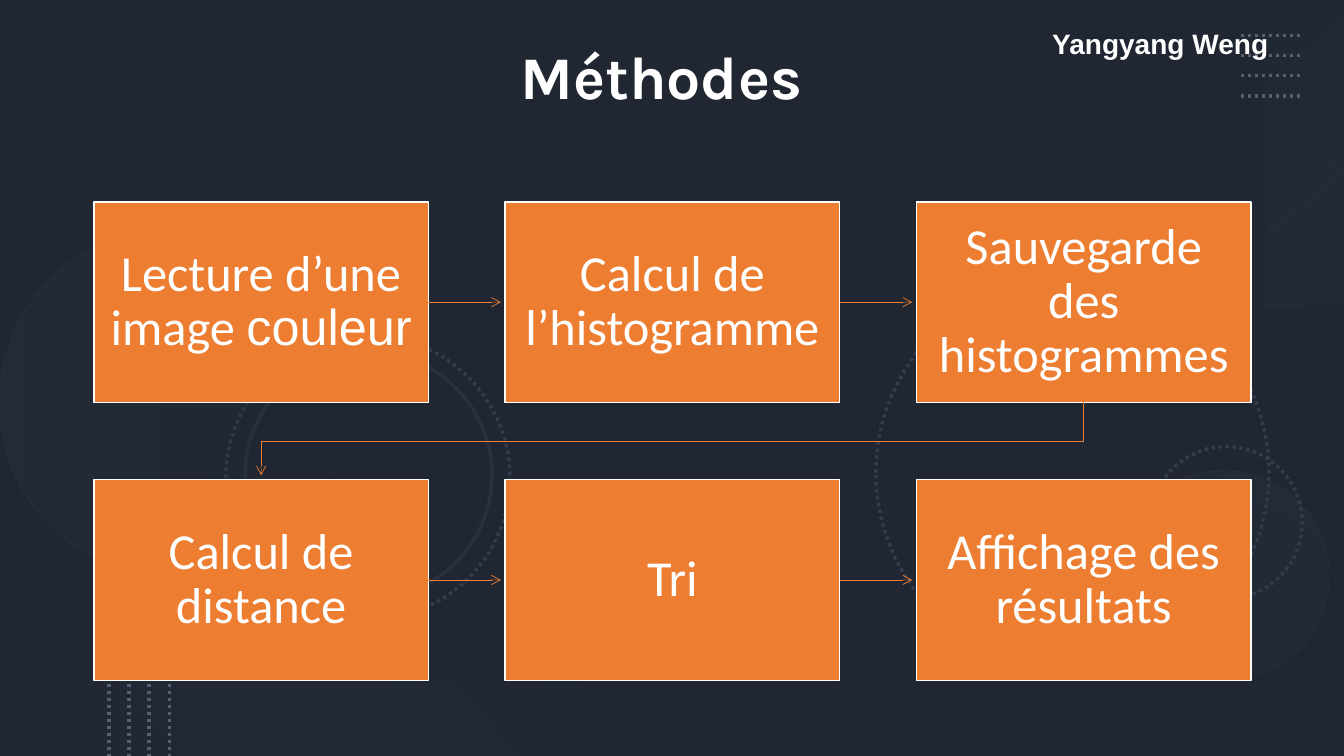
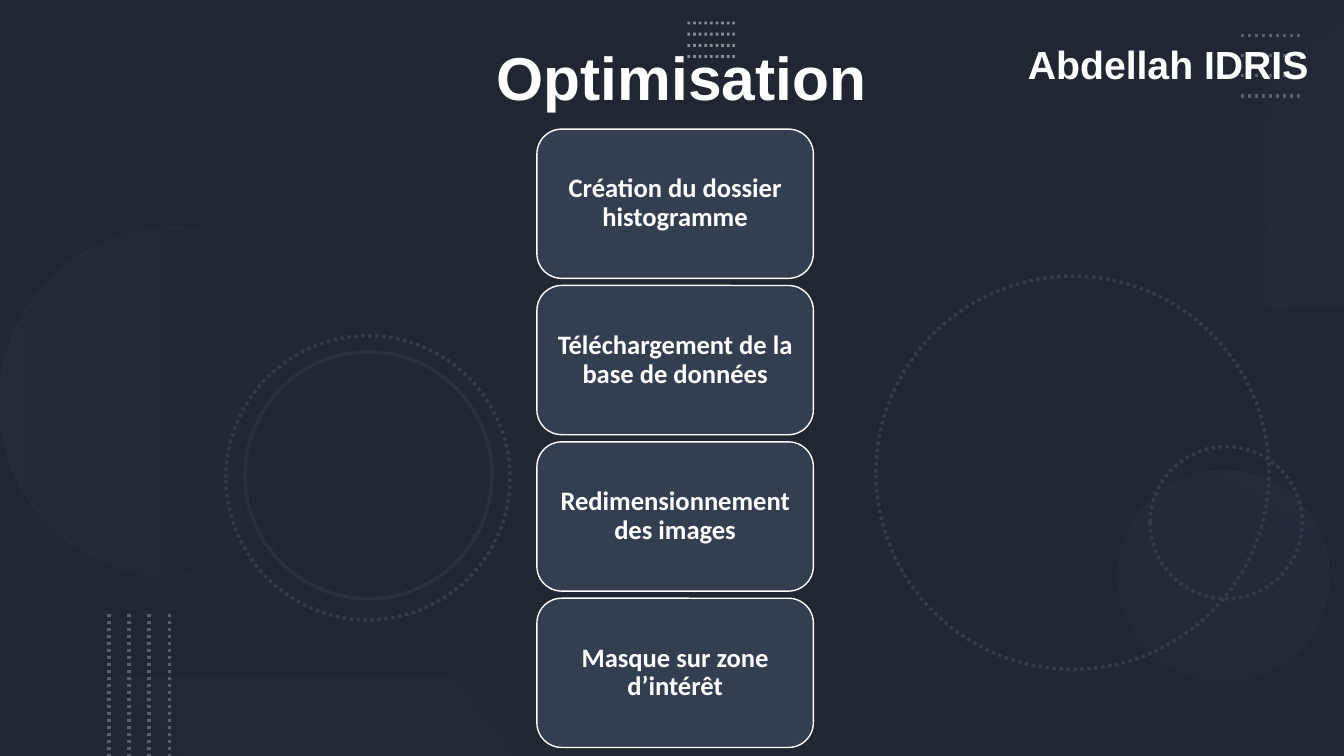
from dataclasses import dataclass

from pptx import Presentation
from pptx.dml.color import RGBColor
from pptx.enum.dml import MSO_LINE
from pptx.enum.shapes import MSO_CONNECTOR, MSO_SHAPE
from pptx.enum.text import MSO_ANCHOR, PP_ALIGN
from pptx.oxml.ns import qn
from pptx.util import Pt
from lxml import etree

RECT, ROUNDED, OVAL = MSO_SHAPE.RECTANGLE, MSO_SHAPE.ROUNDED_RECTANGLE, MSO_SHAPE.OVAL
STRAIGHT = MSO_CONNECTOR.STRAIGHT
DOTTED, SOLID = MSO_LINE.ROUND_DOT, MSO_LINE.SOLID
LEFT, CENTER = PP_ALIGN.LEFT, PP_ALIGN.CENTER
TOP, MIDDLE, BOTTOM = MSO_ANCHOR.TOP, MSO_ANCHOR.MIDDLE, MSO_ANCHOR.BOTTOM
SITE_LEFT, SITE_RIGHT = 1, 3


@dataclass(frozen=True)
class Theme:
    night: str = "202732"
    white: str = "FFFFFF"
    orange: str = "ED7D31"
    slate: str = "333F50"
    deep: str = "222A35"
    ring: str = "333C48"
    inner_ring: str = "2A313D"
    dots: str = "56606C"
    pale_dots: str = "F1F0F0"
    mist: str = "ADB9CA"
    steel: str = "8497B0"
    sans: str = "Arial"
    body: str = "Calibri"
    display: str = "Karla"
    title_size: float = 43.2
    step_size: float = 36
    measure_size: float = 19


THEME = Theme()

# Content: each step is a list of (text, font) runs
METHODS = {
    "title": "Méthodes",
    "author": "Yangyang Weng",
    "steps": [
        [("Lecture d’une image ", THEME.body), ("couleur", THEME.sans)],
        [("Calcul de l’histogramme", THEME.body)],
        [("Sauvegarde des histogrammes", THEME.body)],
        [("Calcul de distance", THEME.body)],
        [("Tri", THEME.body)],
        [("Affichage des résultats", THEME.body)],
    ],
}
OPTIMISATION = {
    "title": "Optimisation",
    "author": "Abdellah IDRIS",
    "measures": [
        "Création du dossier histogramme",
        "Téléchargement de la base de données",
        "Redimensionnement des images",
        "Masque sur zone d’intérêt",
    ],
}

# Backdrop, in points: left, top, diameter, colour, dash
RINGS = [
    (625.7, 197.3, 280.8, THEME.ring, DOTTED),
    (821.5, 319, 108.7, THEME.ring, DOTTED),
    (161.3, 239.8, 203, THEME.ring, DOTTED),
    (175, 251.3, 176.4, THEME.inner_ring, SOLID),
]
# Shape, box, rotation, angle, (colour, opacity %) at both ends
GLOWS = [
    (OVAL, (0, 163.4, 247.7, 247.7), 270, 270, (THEME.slate, 20), (THEME.deep, 10)),
    (OVAL, (799.2, 336.2, 149.8, 149.8), 210, 270, (THEME.slate, 10), (THEME.slate, 20)),
    (RECT, (822.2, 82.1, 220.3, 56.2), 270, 220, (THEME.mist, 0), (THEME.slate, 10)),
    (RECT, (0, 483.8, 480, 56.2), 180, 220, (THEME.deep, 10), (THEME.steel, 0)),
]


def rgb(value):
    return RGBColor.from_string(value)


def set_opacity(shape, *percents):
    colors = shape.element.spPr.iter(qn("a:srgbClr"))
    for color, percent in zip(colors, percents):
        etree.SubElement(color, qn("a:alpha"), val=str(percent * 1000))


def add_arrowhead(shape):
    etree.SubElement(shape.line._get_or_add_ln(), qn("a:tailEnd"), type="arrow")


def style_line(line, color, width, dash=SOLID):
    line.color.rgb = rgb(color)
    line.width = Pt(width)
    line.dash_style = dash


def write(frame, runs, size, align, anchor, bold=False, spacing=None):
    frame.word_wrap = True
    frame.vertical_anchor = anchor
    paragraph = frame.paragraphs[0]
    paragraph.alignment = align
    paragraph.line_spacing = spacing
    for text, font_name in runs:
        run = paragraph.add_run()
        run.text = text
        run.font.name = font_name
        run.font.size = Pt(size)
        run.font.bold = bold
        run.font.color.rgb = rgb(THEME.white)


def add_text(slide, box, text, font_name, size, align=LEFT, anchor=TOP, spacing=None):
    frame = slide.shapes.add_textbox(*map(Pt, box)).text_frame
    write(frame, [(text, font_name)], size, align, anchor, True, spacing)


def add_title(slide, box, text, font_name, align):
    add_text(slide, box, text, font_name, THEME.title_size, align, BOTTOM, 0.9)


def add_card(slide, kind, box, fill, runs, size, margins, bold=False):
    card = slide.shapes.add_shape(kind, *map(Pt, box))
    card.shadow.inherit = False
    card.fill.solid()
    card.fill.fore_color.rgb = rgb(fill)
    style_line(card.line, THEME.white, 1)
    frame = card.text_frame
    frame.margin_left = frame.margin_right = Pt(margins[0])
    frame.margin_top = frame.margin_bottom = Pt(margins[1])
    write(frame, runs, size, CENTER, MIDDLE, bold, 0.9)
    return card


def add_line(slide, start, end, color, width, dash=SOLID):
    line = slide.shapes.add_connector(STRAIGHT, *map(Pt, (*start, *end)))
    style_line(line.line, color, width, dash)
    etree.SubElement(line.element.spPr, qn("a:effectLst"))
    return line


def add_backdrop(slide):
    for left, top, size, color, dash in RINGS:
        ring = slide.shapes.add_shape(OVAL, Pt(left), Pt(top), Pt(size), Pt(size))
        ring.shadow.inherit = False
        ring.fill.background()
        style_line(ring.line, color, 2.5, dash)
    for kind, box, rotation, angle, *ends in GLOWS:
        glow = slide.shapes.add_shape(kind, *map(Pt, box))
        glow.shadow.inherit = False
        glow.rotation = rotation
        glow.line.fill.background()
        glow.fill.gradient()
        glow.fill.gradient_angle = angle
        for stop, (color, _) in zip(glow.fill.gradient_stops, ends):
            stop.color.rgb = rgb(color)
        set_opacity(glow, *(opacity for _, opacity in ends))
    for i in range(4):
        y, x = 25.2 + 14.4 * i, 77.8 + 14.4 * i
        add_line(slide, (886.3, y), (929.5, y), THEME.dots, 2.5, DOTTED)
        add_line(slide, (x, 438.5), (x, 540), THEME.dots, 2.5, DOTTED)


def add_slide(prs):
    slide = prs.slides.add_slide(prs.slide_layouts[6])
    add_backdrop(slide)
    return slide


def build_methods(prs):
    slide = add_slide(prs)
    add_title(slide, (148.3, 31, 648, 53.3), METHODS["title"], THEME.display, CENTER)

    # Steps on a grid of three columns
    columns, left, top, width, height = 3, 67, 144.2, 239, 143.3
    step_x, step_y, tip_gap = 293.8, 198.4, 3
    cards = []
    for i, runs in enumerate(METHODS["steps"]):
        row, column = divmod(i, columns)
        box = (left + column * step_x, top + row * step_y, width, height)
        cards.append(add_card(slide, RECT, box, THEME.orange, runs,
                              THEME.step_size, (11.5, 12.2)))

    # Arrows within each row
    for i, card in enumerate(cards):
        row, column = divmod(i, columns)
        if column == columns - 1:
            continue
        y = top + row * step_y + height / 2
        x = left + column * step_x
        arrow = add_line(slide, (x + width, y), (x + step_x - tip_gap, y), THEME.orange, 0.5)
        arrow.begin_connect(card, SITE_RIGHT)
        add_arrowhead(arrow)

    # Return path from the end of row one to the start of row two
    first_x = left + width / 2
    last_x = first_x + (columns - 1) * step_x
    bottom, next_top = top + height, top + step_y
    turn_y = (bottom + next_top) / 2
    outline = slide.shapes.build_freeform(Pt(last_x), Pt(bottom))
    corners = [(last_x, turn_y), (first_x, turn_y), (first_x, next_top - tip_gap)]
    outline.add_line_segments([(Pt(x), Pt(y)) for x, y in corners], close=False)
    return_path = outline.convert_to_shape()
    return_path.shadow.inherit = False
    return_path.fill.background()
    style_line(return_path.line, THEME.orange, 0.5)
    add_arrowhead(return_path)

    add_text(slide, (744.5, 15.1, 215, 31.7), METHODS["author"], THEME.sans, 20)


def build_optimisation(prs):
    slide = add_slide(prs)
    add_title(slide, (347.8, 31.7, 430.6, 53.3), OPTIMISATION["title"], THEME.sans, LEFT)

    # Dotted accent above the title
    for i in range(4):
        y = 16.4 + 8 * i
        accent = add_line(slide, (491, y), (525, y), THEME.pale_dots, 2, DOTTED)
        set_opacity(accent, 50)

    # Stack of measures
    for i, measure in enumerate(OPTIMISATION["measures"]):
        box = (383.5, 92.2 + 111.7 * i, 197.5, 106.6)
        add_card(slide, ROUNDED, box, THEME.slate, [(measure, THEME.body)],
                 THEME.measure_size, (5.8, 3), True)

    add_text(slide, (727.2, 25.2, 216, 41), OPTIMISATION["author"], THEME.sans, 28)


def main():
    prs = Presentation()
    prs.slide_width, prs.slide_height = Pt(960), Pt(540)
    backdrop = prs.slide_master.background.fill
    backdrop.solid()
    backdrop.fore_color.rgb = rgb(THEME.night)
    build_methods(prs)
    build_optimisation(prs)
    prs.save("out.pptx")


if __name__ == "__main__":
    main()
